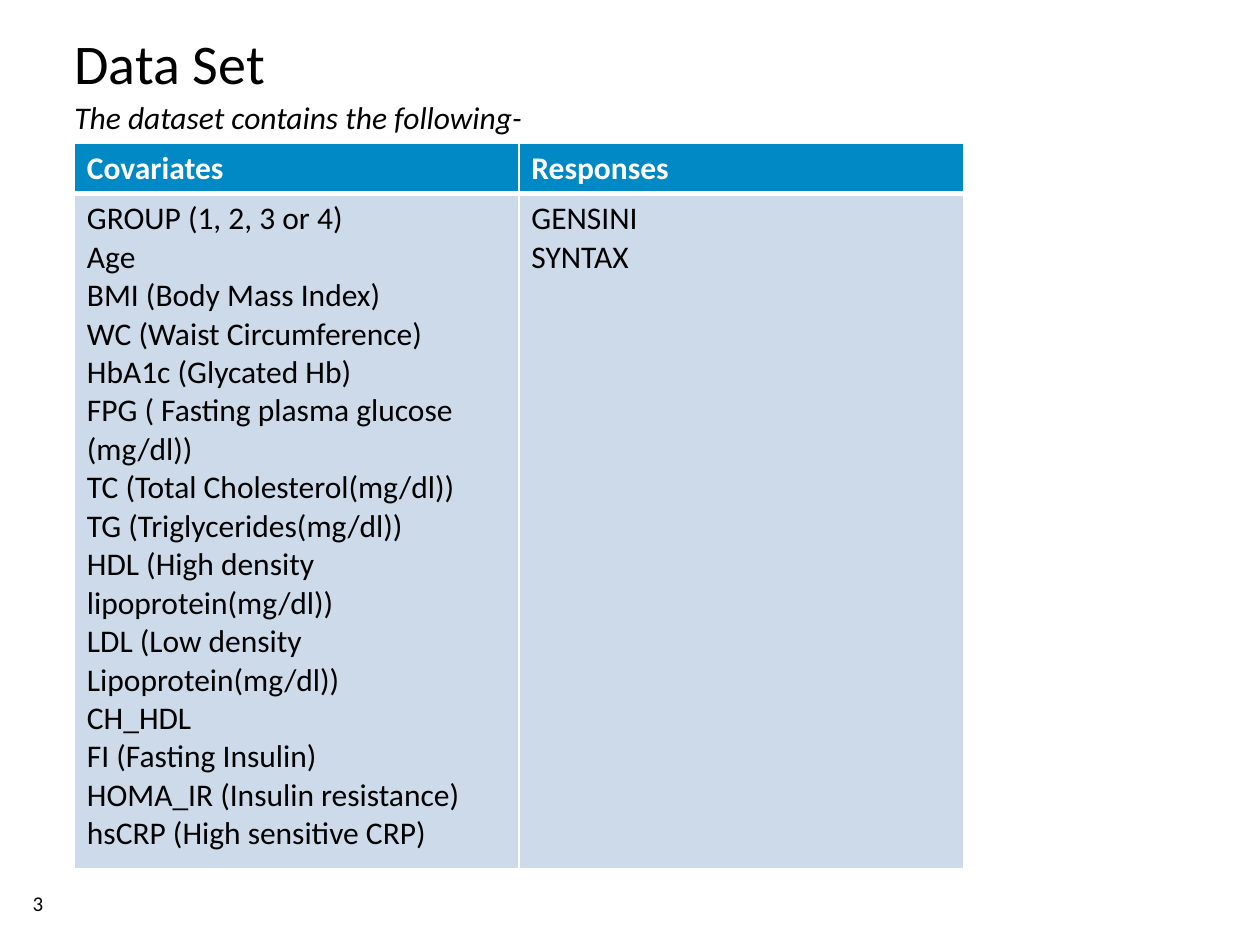
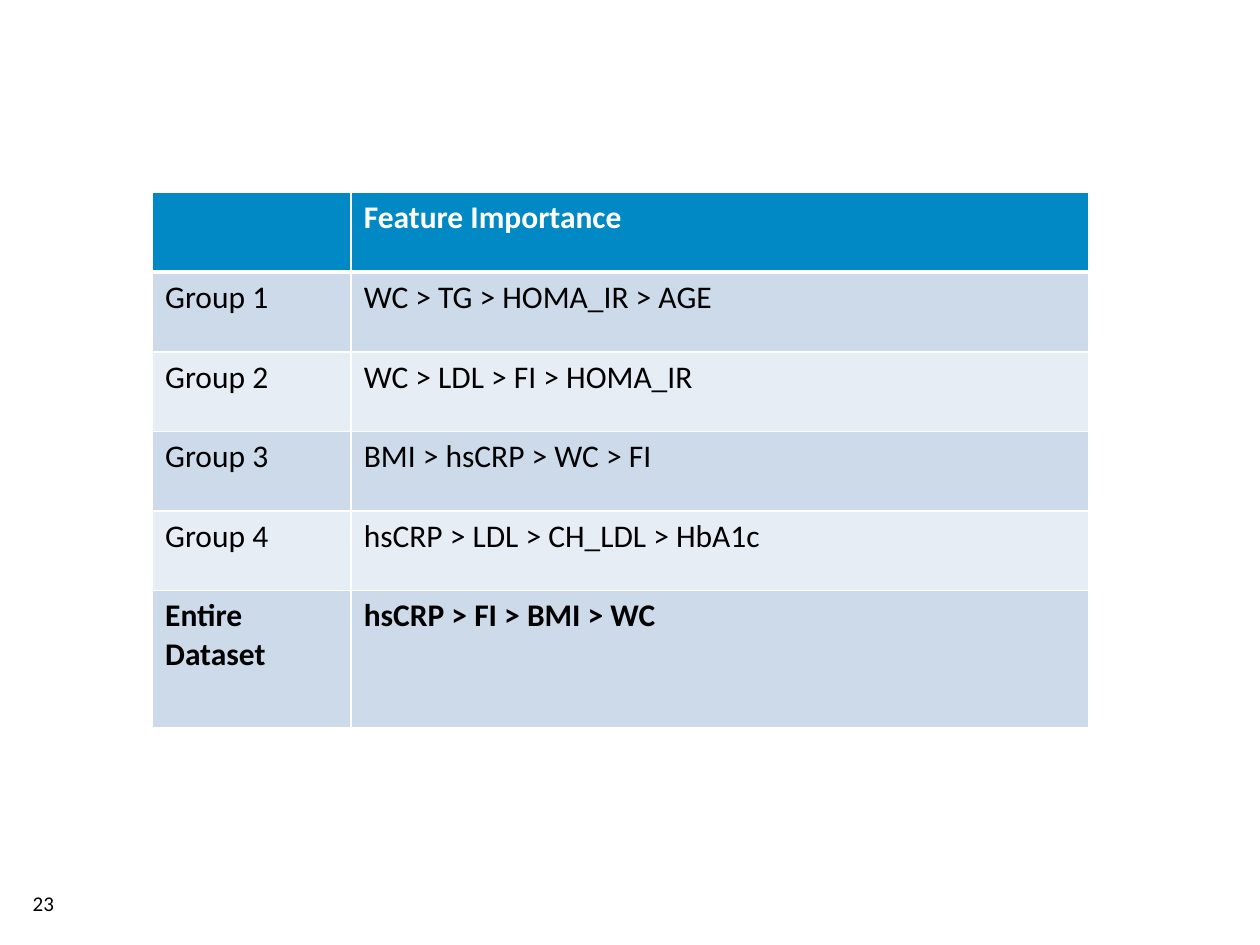
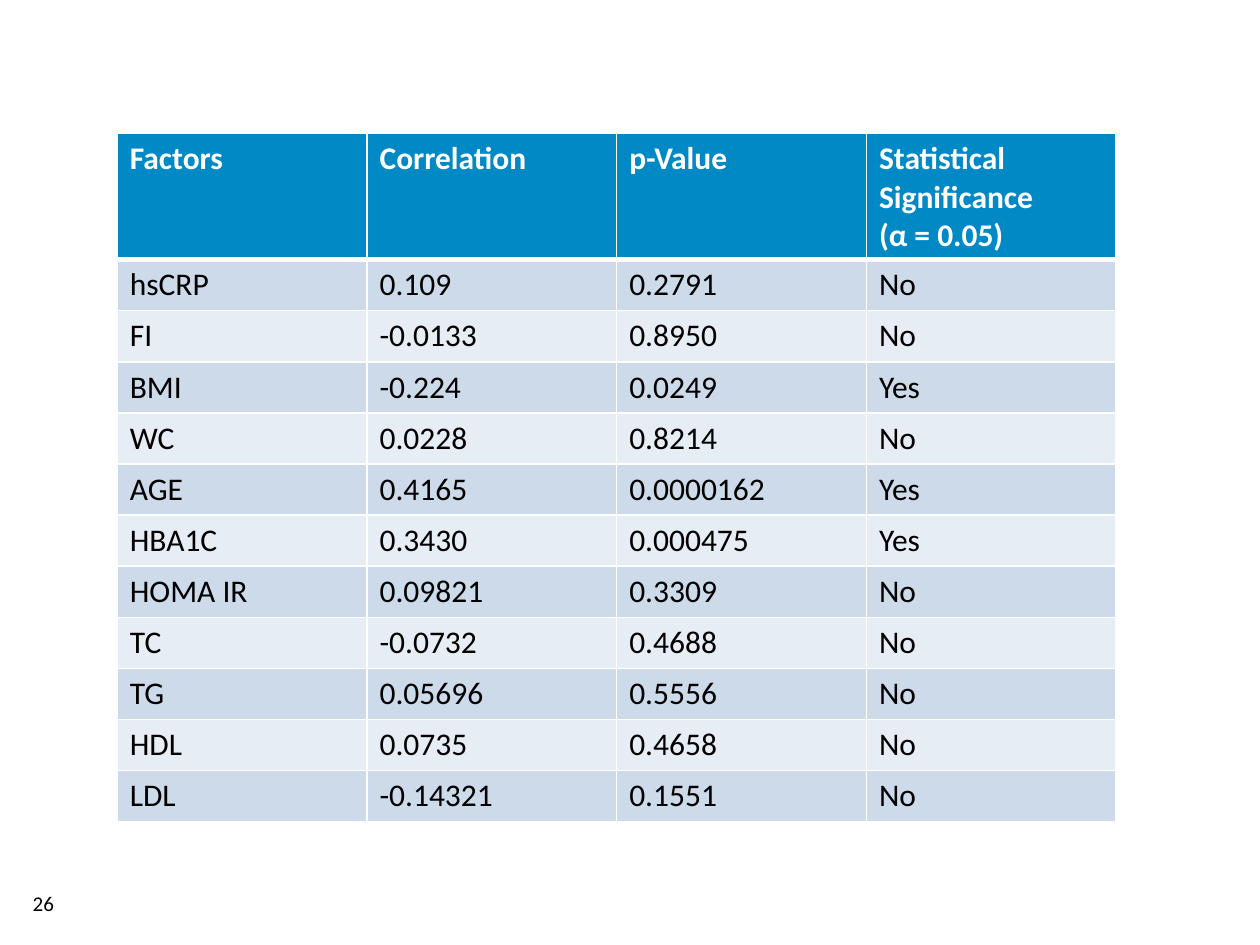
from lxml import etree
from pptx import Presentation
from pptx.dml.color import RGBColor
from pptx.enum.text import MSO_ANCHOR
from pptx.oxml.ns import qn
from pptx.util import Pt

TOP = MSO_ANCHOR.TOP
FONT = "Calibri"
BLACK = "000000"
WHITE = "FFFFFF"
HEADER_BLUE = "0089C4"
BANDS = ("CCDAEA", "E7EDF5")
THIN, THICK = 1, 3
PAGE_NUMBER_BOX = (18.7, 509, 40, 14.5)
TITLE_BOX = (42.5, 16.5, 635, 79)
SUBTITLE_BOX = (42.5, 56.2, 635, 364)

DATA_SET = [
    ("Covariates", "Responses"),
    (
        "GROUP (1, 2, 3 or 4)\n"
        "Age\n"
        "BMI (Body Mass Index)\n"
        "WC (Waist Circumference)\n"
        "HbA1c (Glycated Hb)\n"
        "FPG ( Fasting plasma glucose (mg/dl))\n"
        "TC (Total Cholesterol(mg/dl))\n"
        "TG (Triglycerides(mg/dl))\n"
        "HDL (High density lipoprotein(mg/dl))\n"
        "LDL (Low density Lipoprotein(mg/dl))\n"
        "CH_HDL\n"
        "FI (Fasting Insulin)\n"
        "HOMA_IR (Insulin resistance)\n"
        "hsCRP (High sensitive CRP)",
        "GENSINI\nSYNTAX",
    ),
]

FEATURE_IMPORTANCE = [
    ("", "Feature Importance"),
    ("Group 1", "WC > TG > HOMA_IR > AGE"),
    ("Group 2", "WC > LDL > FI > HOMA_IR"),
    ("Group 3", "BMI > hsCRP > WC > FI"),
    ("Group 4", "hsCRP > LDL > CH_LDL > HbA1c"),
    ("Entire Dataset", "hsCRP > FI > BMI > WC"),
]

CORRELATIONS = [
    ("Factors", "Correlation", "p-Value", "Statistical Significance\n(α = 0.05)"),
    ("hsCRP", "0.109", "0.2791", "No"),
    ("FI", "-0.0133", "0.8950", "No"),
    ("BMI", "-0.224", "0.0249", "Yes"),
    ("WC", "0.0228", "0.8214", "No"),
    ("AGE", "0.4165", "0.0000162", "Yes"),
    ("HBA1C", "0.3430", "0.000475", "Yes"),
    ("HOMA IR", "0.09821", "0.3309", "No"),
    ("TC", "-0.0732", "0.4688", "No"),
    ("TG", "0.05696", "0.5556", "No"),
    ("HDL", "0.0735", "0.4658", "No"),
    ("LDL", "-0.14321", "0.1551", "No"),
]


def rgb(color):
    return RGBColor.from_string(color)


def write(frame, text, size, color=BLACK, bold=False, italic=False):
    frame.text = text
    for paragraph in frame.paragraphs:
        font = paragraph.font
        font.name = FONT
        font.size = Pt(size)
        font.color.rgb = rgb(color)
        font.bold = bold
        font.italic = italic


def add_text(slide, box, text, size, italic=False):
    frame = slide.shapes.add_textbox(*map(Pt, box)).text_frame
    frame.word_wrap = True
    frame.vertical_anchor = TOP
    frame.margin_left = frame.margin_top = frame.margin_right = frame.margin_bottom = 0
    write(frame, text, size, italic=italic)


def set_borders(cell, top, bottom):
    properties = cell._tc.get_or_add_tcPr()
    for edge, width in (("lnL", THIN), ("lnR", THIN), ("lnT", top), ("lnB", bottom)):
        line = etree.SubElement(properties, qn(f"a:{edge}"), w=str(Pt(width)))
        fill = etree.SubElement(line, qn("a:solidFill"))
        etree.SubElement(fill, qn("a:srgbClr"), val=WHITE)


def add_grid(slide, left, top, widths, heights, rows, bold_rows=(0,)):
    grid = slide.shapes.add_table(
        len(rows), len(widths), Pt(left), Pt(top), Pt(sum(widths)), Pt(sum(heights))
    ).table
    grid.horz_banding = False
    for column, width in zip(grid.columns, widths):
        column.width = Pt(width)
    for index, (row, height, texts) in enumerate(zip(grid.rows, heights, rows)):
        row.height = Pt(height)
        is_header = index == 0
        for cell, text in zip(row.cells, texts):
            set_borders(cell, THICK if index == 1 else THIN, THICK if is_header else THIN)
            cell.fill.solid()
            cell.fill.fore_color.rgb = rgb(HEADER_BLUE if is_header else BANDS[(index - 1) % 2])
            write(cell.text_frame, text, 18, WHITE if is_header else BLACK, index in bold_rows)


def new_slide(deck, number):
    slide = deck.slides.add_slide(deck.slide_layouts[6])
    add_text(slide, PAGE_NUMBER_BOX, str(number), 12)
    return slide


def data_set_slide(deck):
    slide = new_slide(deck, 3)
    add_text(slide, TITLE_BOX, "Data Set", 32)
    add_text(slide, SUBTITLE_BOX, "The dataset contains the following-", 18, italic=True)
    add_grid(slide, 42.5, 81.7, [254] * 2, [28.4, 386], DATA_SET)


def feature_importance_slide(deck):
    slide = new_slide(deck, 23)
    heights = [45.5] * 5 + [78.2]
    add_grid(slide, 87.2, 110, [113.5, 421.2], heights, FEATURE_IMPORTANCE, bold_rows=(0, 5))


def correlation_slide(deck):
    slide = new_slide(deck, 26)
    heights = [72] + [29.2] * 11
    add_grid(slide, 67, 76.3, [142.7] * 4, heights, CORRELATIONS)


def main():
    deck = Presentation()
    deck.slide_width = Pt(720)
    deck.slide_height = Pt(540)
    data_set_slide(deck)
    feature_importance_slide(deck)
    correlation_slide(deck)
    deck.save("out.pptx")


if __name__ == "__main__":
    main()
